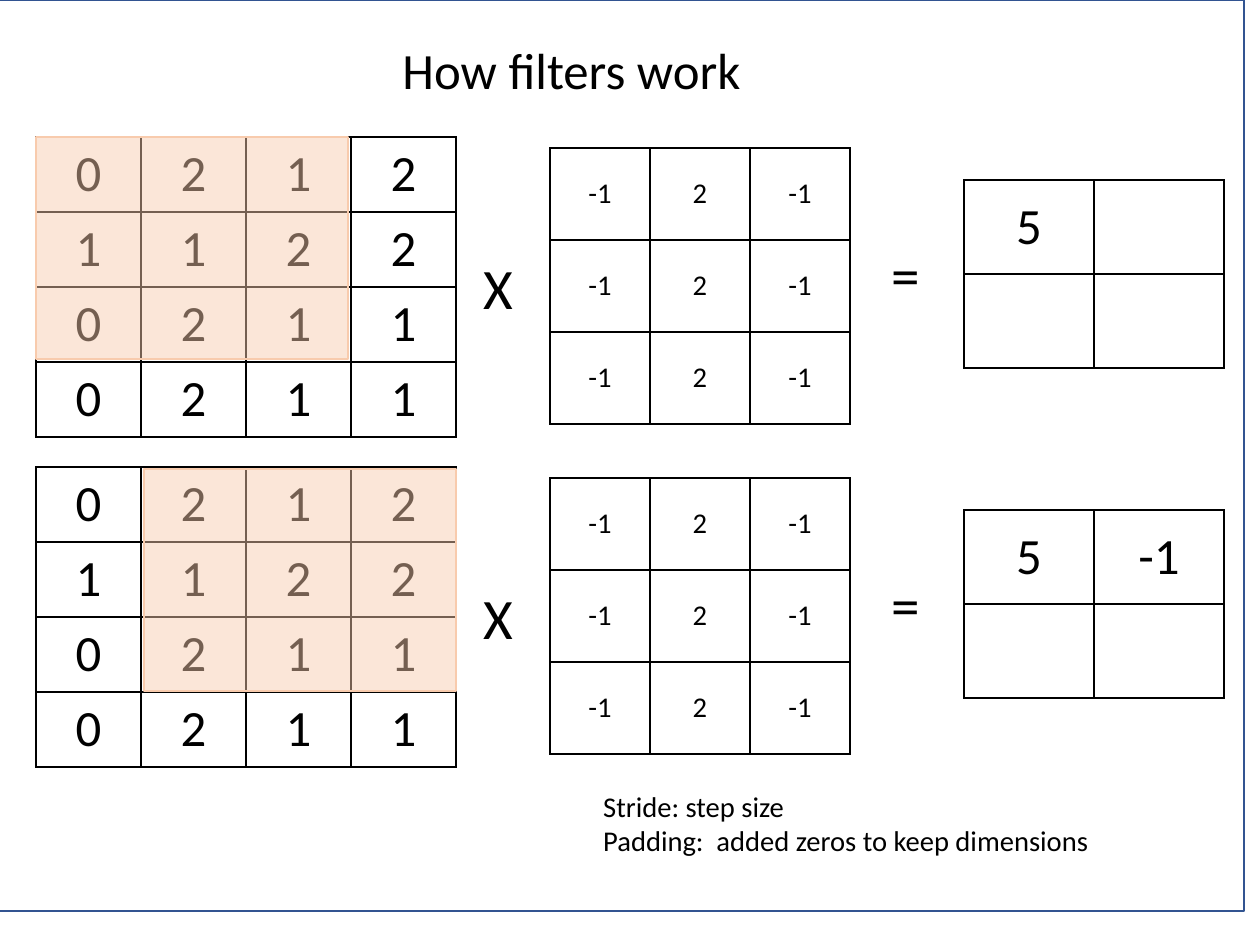
from lxml.etree import SubElement
from pptx import Presentation
from pptx.dml.color import RGBColor
from pptx.enum.shapes import MSO_SHAPE as Shape
from pptx.enum.text import MSO_ANCHOR as Anchor, MSO_AUTO_SIZE as AutoSize, PP_ALIGN as Align
from pptx.oxml.ns import qn
from pptx.util import Emu, Pt

BLACK = RGBColor(0x00, 0x00, 0x00)
WHITE = RGBColor(0xFF, 0xFF, 0xFF)
NAVY = RGBColor(0x32, 0x54, 0x91)
PEACH = RGBColor(0xF8, 0xCB, 0xAD)
TITLE_ONLY = 5

IMAGE = [[0, 2, 1, 2], [1, 1, 2, 2], [0, 2, 1, 1], [0, 2, 1, 1]]
FILTER = [[-1, 2, -1]] * 3
STEPS = [  # top, left edge and top offset of the window, result so far
    (137, 36, 0, [[5, ""], ["", ""]]),
    (467, 144, 2, [[5, -1], ["", ""]]),
]


def px(n):
    return Emu(n * 8000)


def write(tf, text, size=18, font="Calibri", color=BLACK, align=Align.LEFT):
    for i, line in enumerate(text.split("\n")):
        p = tf.add_paragraph() if i else tf.paragraphs[0]
        p.alignment = align
        r = p.add_run()
        r.text = line
        r.font.name, r.font.size, r.font.color.rgb = font, Pt(size), color


class FilterSlide:
    def __init__(self, prs):
        self.s = prs.slides.add_slide(prs.slide_layouts[TITLE_ONLY])
        self.shapes = self.s.shapes

    def title(self, text, x, y, w, h, size):
        sp = self.shapes.title
        sp.left, sp.top, sp.width, sp.height = map(px, (x, y, w, h))
        tf = sp.text_frame
        tf.word_wrap, tf.auto_size = False, AutoSize.NONE
        tf.vertical_anchor = Anchor.MIDDLE
        write(tf, text, size=size)
        self.shapes._spTree.append(sp._element)  # bring in front of the frame

    def text(self, text, x, y, w, h, size):
        tf = self.shapes.add_textbox(*map(px, (x, y, w, h))).text_frame
        tf.word_wrap = False
        write(tf, text, size=size)

    def rect(self, x, y, w, h, fill, line, alpha=None):
        sp = self.shapes.add_shape(Shape.RECTANGLE, *map(px, (x, y, w, h)))
        sp.shadow.inherit = False
        sp.fill.solid()
        sp.fill.fore_color.rgb = fill
        sp.line.color.rgb, sp.line.width = line, Pt(1)
        if alpha is not None:
            clr = sp._element.spPr.find(qn("a:solidFill"))[0]
            SubElement(clr, qn("a:alpha"), val=str(alpha * 1000))

    def borders(self, cell):
        tcPr = cell._tc.get_or_add_tcPr()
        for i, side in enumerate(("lnL", "lnR", "lnT", "lnB")):
            ln = SubElement(tcPr, qn("a:" + side), w=str(Pt(1)))
            clr = SubElement(ln, qn("a:solidFill"))
            SubElement(clr, qn("a:srgbClr"), val=str(BLACK))
            tcPr.insert(i, ln)  # lines come before the fill

    def grid(self, values, x, y, cell_w, cell_h, size):
        rows, cols = len(values), len(values[0])
        table = self.shapes.add_table(
            rows, cols, *map(px, (x, y, cols * cell_w, rows * cell_h))).table
        table.first_row = table.horz_banding = False
        for i, row in enumerate(values):
            for j, value in enumerate(row):
                cell = table.cell(i, j)
                cell.fill.background()
                cell.vertical_anchor = Anchor.MIDDLE
                self.borders(cell)
                if value != "":
                    write(cell.text_frame, str(value), size=size, align=Align.CENTER)


def main():
    prs = Presentation()
    prs.slide_width, prs.slide_height = px(1260), px(945)
    s = FilterSlide(prs)

    # Frame and title
    s.rect(-20, 0, 1264, 911, WHITE, NAVY)
    s.title("How filters work", 391, 33, 365, 73, size=32)

    # One row per filter position: image X filter = result
    for top, window_x, window_dy, result in STEPS:
        s.grid(IMAGE, 36, top, 105, 75, size=32)
        s.rect(window_x, top + window_dy, 312, 222, PEACH, PEACH, alpha=47)
        s.text("X", 472, top + 110, 53, 81, size=36)
        s.grid(FILTER, 550, top + 11, 100, 92, size=18)
        s.text("=", 880, top + 97, 51, 81, size=36)
        s.grid(result, 964, top + 43, 130, 94, size=32)

    # Terms
    s.text("Stride: step size\nPadding:  added zeros to keep dimensions",
           592, 783, 514, 81, size=18)
    prs.save("out.pptx")


if __name__ == "__main__":
    main()
